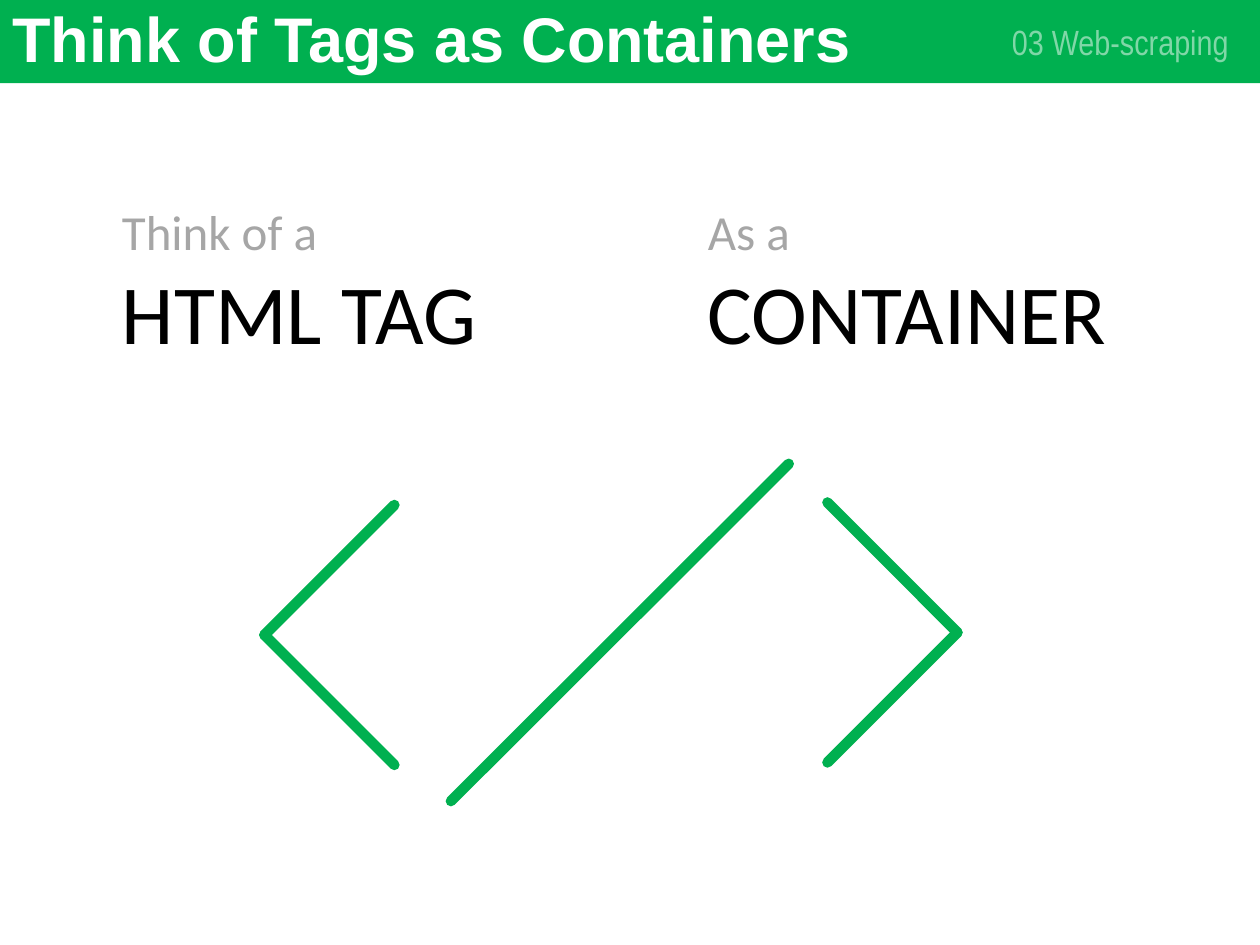
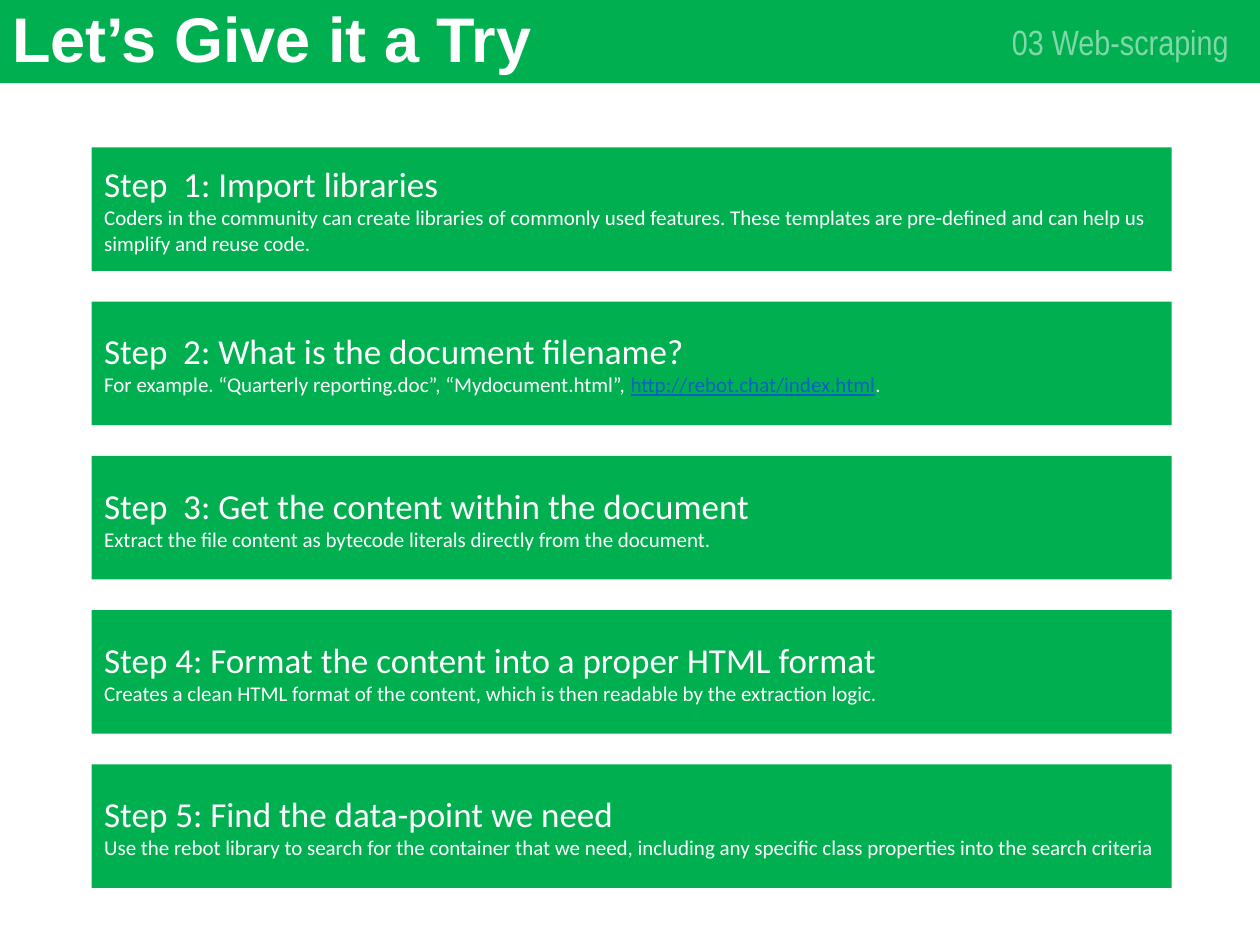
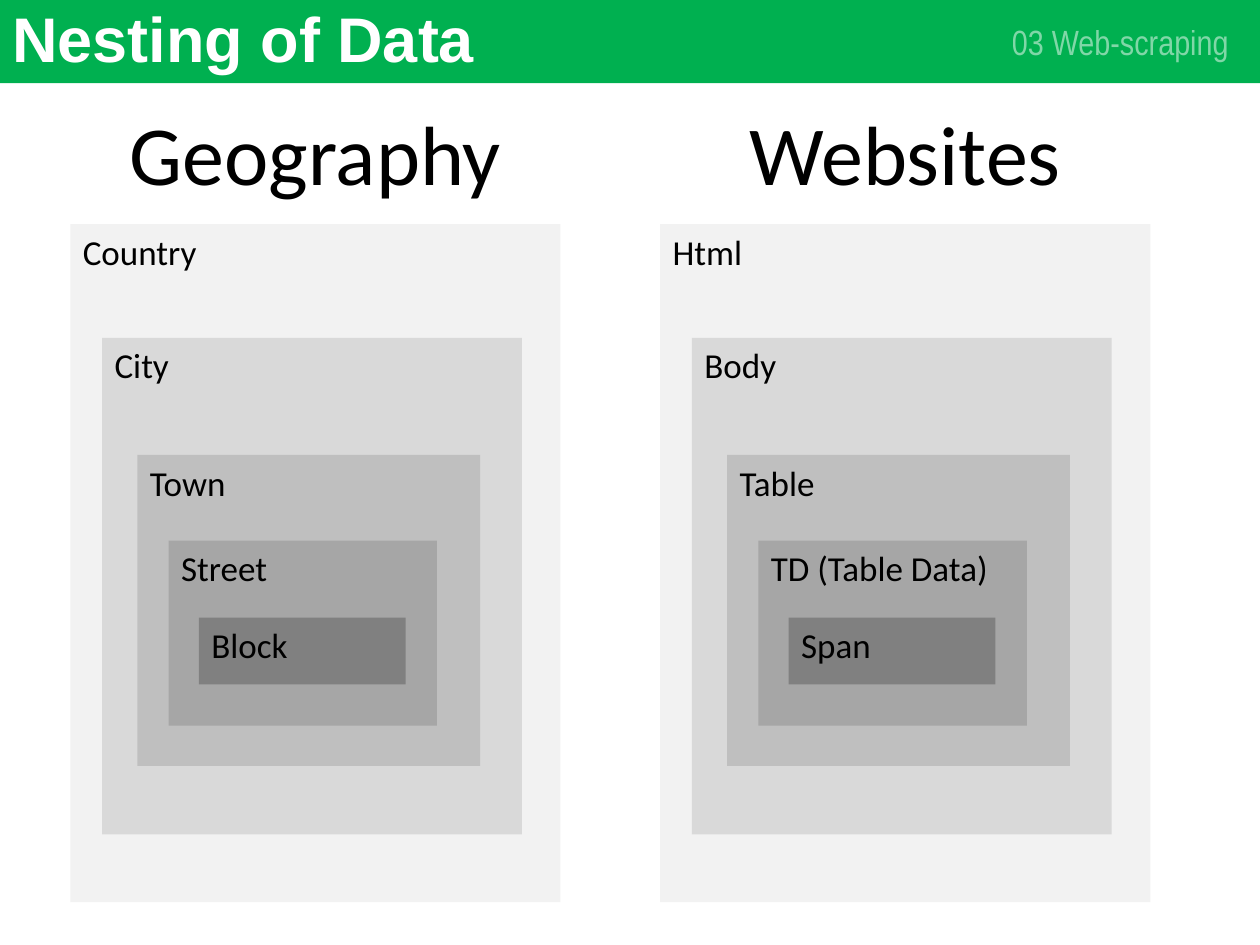
from lxml import etree
from pptx import Presentation
from pptx.dml.color import RGBColor
from pptx.enum.shapes import MSO_CONNECTOR, MSO_SHAPE
from pptx.enum.text import MSO_ANCHOR, MSO_AUTO_SIZE, PP_ALIGN
from pptx.oxml.ns import qn
from pptx.util import Cm, Pt

RECTANGLE = MSO_SHAPE.RECTANGLE
STRAIGHT = MSO_CONNECTOR.STRAIGHT
TOP, MIDDLE = MSO_ANCHOR.TOP, MSO_ANCHOR.MIDDLE
LEFT, CENTER, RIGHT = PP_ALIGN.LEFT, PP_ALIGN.CENTER, PP_ALIGN.RIGHT
GROW = MSO_AUTO_SIZE.SHAPE_TO_FIT_TEXT

GREEN, WHITE, BLACK = "00B050", "FFFFFF", "000000"
GREY, LINK_BLUE = "A6A6A6", "0563C1"
BODY_FONT, TITLE_FONT, CHAPTER_FONT = "Calibri", "Arial", "Arial Narrow"
CHAPTER = "03 Web-scraping"
PAGE_WIDTH, BAND_HEIGHT = 25.4, 1.68


def rgb(hex_code):
    return RGBColor.from_string(hex_code)


class Deck:
    """Holds the shared style and the slide being filled; lengths are in cm."""

    def __init__(self):
        self.prs = Presentation()
        self.prs.slide_width, self.prs.slide_height = Cm(PAGE_WIDTH), Cm(19.05)
        self.slide = None

    def new_slide(self, title):
        self.slide = self.prs.slides.add_slide(self.prs.slide_layouts[6])
        self.block(0, 0, PAGE_WIDTH, BAND_HEIGHT, GREEN)

        chapter = self.text_box(19.71, 0.33, 5.31, 1.02, MIDDLE)
        run = self.add_text(chapter.paragraphs[0], CHAPTER, 20, WHITE, CHAPTER_FONT, RIGHT)
        tint = next(run.font._element.iter(qn("a:srgbClr")))
        etree.SubElement(tint, qn("a:alpha"), val="50000")

        heading = self.text_box(0, 0, 21.89, BAND_HEIGHT, MIDDLE).paragraphs[0]
        self.add_text(heading, title, 36, WHITE, TITLE_FONT).font.bold = True
        heading.line_spacing = 0.9

    def block(self, left, top, width, height, fill, anchor=MIDDLE):
        """Adds a plain filled rectangle and returns its text frame."""
        shape = self.slide.shapes.add_shape(RECTANGLE, Cm(left), Cm(top), Cm(width), Cm(height))
        shape.shadow.inherit = False
        shape.fill.solid()
        shape.fill.fore_color.rgb = rgb(fill)
        shape.line.fill.background()
        shape.text_frame.vertical_anchor = anchor
        return shape.text_frame

    def text_box(self, left, top, width, height, anchor=TOP, wrap=True):
        frame = self.slide.shapes.add_textbox(Cm(left), Cm(top), Cm(width), Cm(height)).text_frame
        frame.word_wrap = wrap
        frame.vertical_anchor = anchor
        return frame

    def add_text(self, paragraph, text, size, color, font=BODY_FONT, align=LEFT):
        """Appends a formatted run to the paragraph and returns the run."""
        paragraph.alignment = align
        run = paragraph.add_run()
        run.text = text
        run.font.name, run.font.size = font, Pt(size)
        run.font.color.rgb = rgb(color)
        return run

    def stroke(self, x1, y1, x2, y2):
        """Draws a thick green line with round ends."""
        line = self.slide.shapes.add_connector(STRAIGHT, Cm(x1), Cm(y1), Cm(x2), Cm(y2))
        line.line.color.rgb = rgb(GREEN)
        line.line.width = Pt(6)
        properties = line._element.spPr
        properties.find(qn("a:ln")).set("cap", "rnd")
        etree.SubElement(properties, qn("a:effectLst"))

    def chevron(self, tip_x, tip_y, reach):
        """Draws an angle bracket; a negative reach makes it point right."""
        for rise in (-reach, reach):
            self.stroke(tip_x, tip_y, tip_x + reach, tip_y + rise)


def containers_slide(deck):
    deck.new_slide("Think of Tags as Containers")
    deck.stroke(9.09, 16.15, 15.9, 9.35)
    deck.chevron(5.33, 12.8, 2.62)
    deck.chevron(19.3, 12.75, -2.62)
    for left, width, lead_in, term in (
        (2.21, 7.72, "Think of a", "HTML TAG"),
        (14.02, 8.64, "As a", "CONTAINER"),
    ):
        caption = deck.text_box(left, 3.94, width, 3.51, wrap=False)
        caption.auto_size = GROW
        deck.add_text(caption.paragraphs[0], lead_in, 28, GREY)
        deck.add_text(caption.add_paragraph(), term, 48, BLACK)


STEPS = (
    ("Step  1: Import libraries",
     "Coders in the community can create libraries of commonly used features. "
     "These templates are pre-defined and can help us simplify and reuse code."),
    ("Step  2: What is the document filename?",
     "For example. “Quarterly reporting.doc”, “Mydocument.html”, ",
     "http://rebot.chat/index.html", "."),
    ("Step  3: Get the content within the document",
     "Extract the file content as bytecode literals directly from the document."),
    ("Step 4: Format the content into a proper HTML format",
     "Creates a clean HTML format of the content, which is then readable by the extraction logic."),
    ("Step 5: Find the data-point we need",
     "Use the rebot library to search for the container that we need, "
     "including any specific class properties into the search criteria"),
)


def steps_slide(deck):
    deck.new_slide("Let’s Give it a Try")
    for row, (step, *details) in enumerate(STEPS):
        card = deck.block(1.85, 2.97 + row * 3.11, 21.77, 2.49, GREEN)
        deck.add_text(card.paragraphs[0], step, 20, WHITE)
        explanation = card.add_paragraph()
        for detail in details:
            is_address = detail.startswith("http")
            run = deck.add_text(explanation, detail, 12, LINK_BLUE if is_address else WHITE)
            run.font.underline = is_address


# inset from the column's left edge, top, width, height, fill
NEST_LEVELS = (
    (0, 4.52, 9.88, 13.67, "F2F2F2"),
    (0.64, 6.81, 8.46, 10.01, "D9D9D9"),
    (1.35, 9.17, 6.91, 6.27, "BFBFBF"),
    (1.98, 10.9, 5.41, 3.73, "A6A6A6"),
    (2.59, 12.45, 4.17, 1.35, "808080"),
)
NESTINGS = (
    (1.42, "Geography", ("Country", "City", "Town", "Street", "Block")),
    (13.31, "Websites", ("Html", "Body", "Table", "TD (Table Data)", "Span")),
)


def nesting_slide(deck):
    deck.new_slide("Nesting of Data")
    for column_left, topic, names in NESTINGS:
        for name, (inset, top, width, height, fill) in zip(names, NEST_LEVELS):
            level = deck.block(column_left + inset, top, width, height, fill, TOP)
            deck.add_text(level.paragraphs[0], name, 20, BLACK)
        heading = deck.text_box(column_left, 1.93, 9.88, 2.31)
        heading.auto_size = GROW
        deck.add_text(heading.paragraphs[0], topic, 48, BLACK, align=CENTER)


def main():
    deck = Deck()
    containers_slide(deck)
    steps_slide(deck)
    nesting_slide(deck)
    deck.prs.save("out.pptx")


if __name__ == "__main__":
    main()
